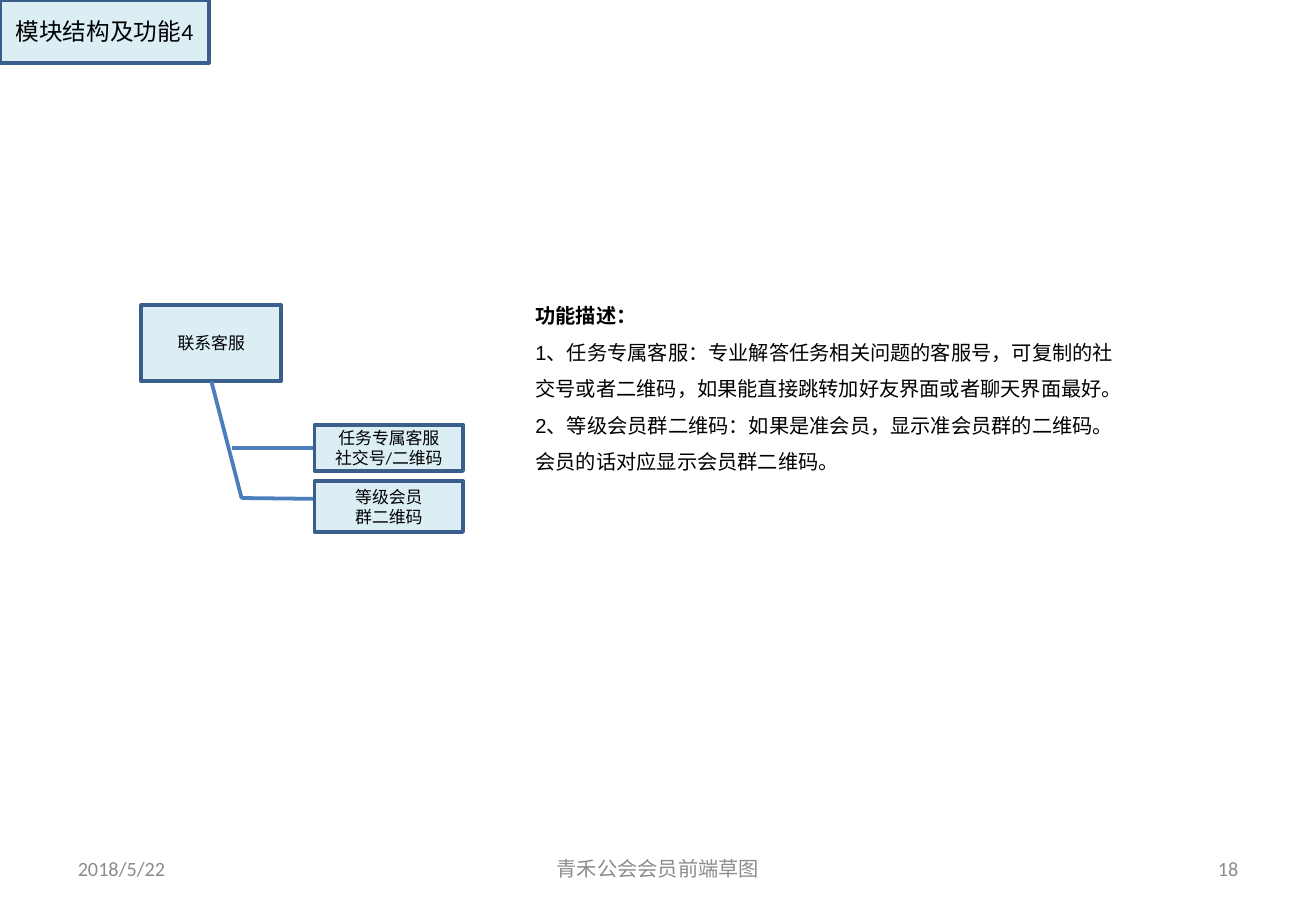
from lxml.etree import SubElement
from pptx import Presentation
from pptx.dml.color import RGBColor
from pptx.enum.shapes import MSO_CONNECTOR, MSO_SHAPE
from pptx.enum.text import MSO_ANCHOR, PP_ALIGN
from pptx.oxml.ns import qn
from pptx.util import Pt

COLORS = {
    "box": "DBEEF4",
    "border": "3A5F8C",
    "branch": "4B7EBC",
    "text": "000000",
    "footer": "8C8C8C",
}
LINE_WIDTH = 2.25
FOOTER_TOP, FOOTER_HEIGHT = 500.4, 28.8


def color(name):
    """Return the named colour."""
    return RGBColor.from_string(COLORS[name])


class SlideBuilder:
    """Holds the style and the current slide."""

    def __init__(self, slide):
        """Keep the slide to draw on."""
        self.slide = slide

    def set_text(self, shape, lines, size, align, font="Calibri", ink="text"):
        """Fill a shape with one paragraph per line and format it."""
        text_frame = shape.text_frame
        text_frame.word_wrap = True
        text_frame.vertical_anchor = MSO_ANCHOR.MIDDLE
        text_frame.text = "\n".join(lines)
        for paragraph in text_frame.paragraphs:
            paragraph.alignment = align
            for run in paragraph.runs:
                run.font.size = Pt(size)
                run.font.name = font
                run.font.color.rgb = color(ink)
        return text_frame

    def box(self, left, top, width, height, lines, size=10):
        """Draw a bordered box with centred text."""
        shape = self.slide.shapes.add_shape(
            MSO_SHAPE.RECTANGLE, Pt(left), Pt(top), Pt(width), Pt(height))
        shape.shadow.inherit = False
        shape.fill.solid()
        shape.fill.fore_color.rgb = color("box")
        shape.line.color.rgb = color("border")
        shape.line.width = Pt(LINE_WIDTH)
        text_frame = self.set_text(shape, lines, size, PP_ALIGN.CENTER)
        text_frame.margin_left = text_frame.margin_right = Pt(4)

    def text(self, left, top, width, height, lines, **style):
        """Add a wrapping text box."""
        shape = self.slide.shapes.add_textbox(
            Pt(left), Pt(top), Pt(width), Pt(height))
        return self.set_text(shape, lines, 12, **style)

    def branch(self, start_x, start_y, end_x, end_y):
        """Draw a straight branch line without shadow."""
        connector = self.slide.shapes.add_connector(
            MSO_CONNECTOR.STRAIGHT,
            Pt(start_x), Pt(start_y), Pt(end_x), Pt(end_y))
        connector.line.color.rgb = color("branch")
        connector.line.width = Pt(LINE_WIDTH)
        SubElement(connector.element.spPr, qn("a:effectLst"))

    def description(self, left, top, width, height, lines):
        """Add the description with a bold heading and wide line spacing."""
        text_frame = self.text(left, top, width, height, lines,
                               align=PP_ALIGN.LEFT, font="Arial")
        text_frame.vertical_anchor = MSO_ANCHOR.TOP
        for paragraph in text_frame.paragraphs:
            paragraph.line_spacing = 1.5
        text_frame.paragraphs[0].runs[0].font.bold = True

    def footer(self, left, width, line, align):
        """Add one grey footer entry."""
        self.text(left, FOOTER_TOP, width, FOOTER_HEIGHT, [line],
                  align=align, ink="footer")


def main():
    """Build and save the slide."""
    presentation = Presentation()
    presentation.slide_width, presentation.slide_height = Pt(780), Pt(540)
    slide = presentation.slides.add_slide(presentation.slide_layouts[6])
    builder = SlideBuilder(slide)

    builder.box(0, 0, 123.8, 37.4, ["模块结构及功能4"], size=14)
    builder.description(310.3, 169.2, 362.9, 116.6, [
        "功能描述：",
        "1、任务专属客服：专业解答任务相关问题的客服号，可复制的社交号"
        "或者二维码，如果能直接跳转加好友界面或者聊天界面最好。",
        "2、等级会员群二维码：如果是准会员，显示准会员群的二维码。"
        "会员的话对应显示会员群二维码。",
    ])

    builder.box(83.8, 180.7, 82.8, 45.4, ["联系客服"])
    for points in ((125.3, 226.1, 143.3, 295.6),
                   (137.5, 265.7, 209.5, 265.7),
                   (143.3, 295.2, 201.6, 295.9)):
        builder.branch(*points)
    for top, height, lines in (
            (251.8, 27.4, ["任务专属客服", "社交号/二维码"]),
            (285.2, 30.2, ["等级会员", "群二维码"])):
        builder.box(186.5, top, 88, height, lines)

    builder.footer(39, 182, "2018/5/22", PP_ALIGN.LEFT)
    builder.footer(559, 182, "18", PP_ALIGN.RIGHT)
    builder.footer(266.5, 247, "青禾公会会员前端草图", PP_ALIGN.CENTER)
    presentation.save("out.pptx")


main()
